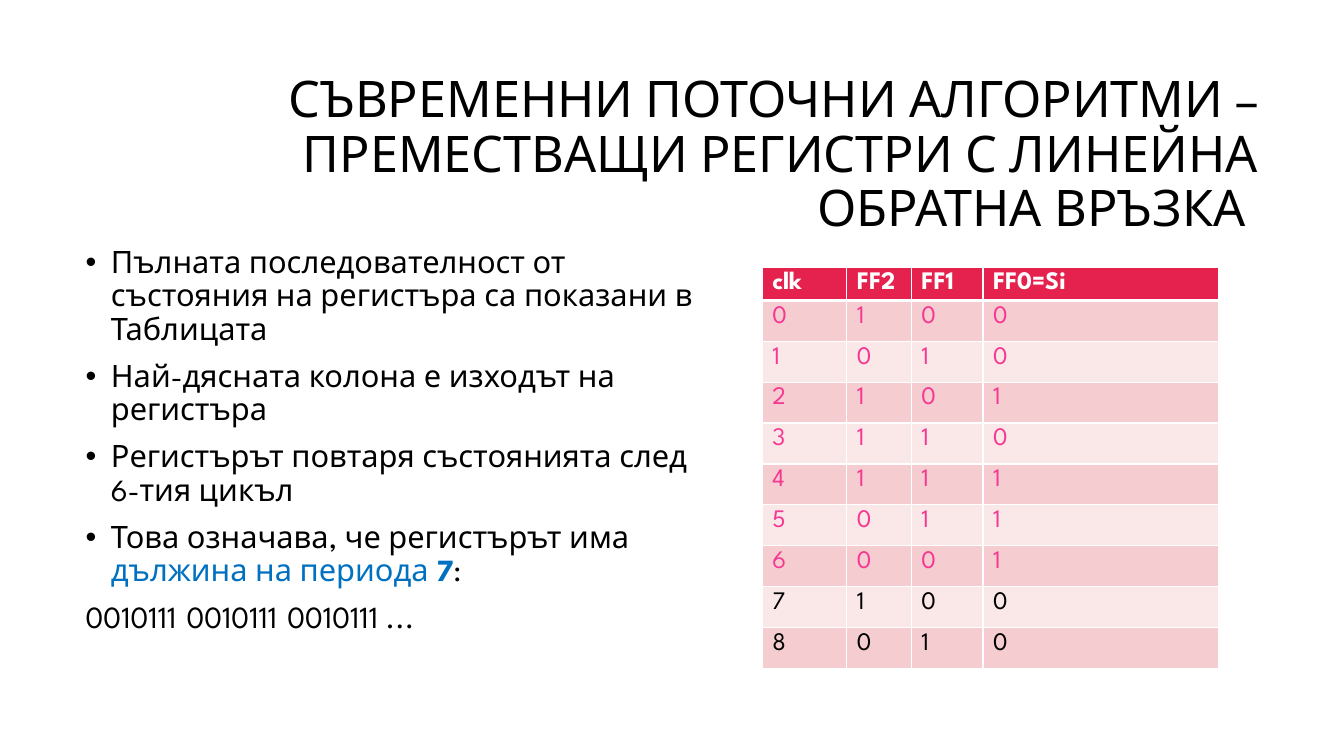
from lxml.etree import SubElement
from pptx import Presentation
from pptx.dml.color import RGBColor
from pptx.enum.text import MSO_ANCHOR, MSO_AUTO_SIZE, PP_ALIGN
from pptx.oxml.ns import qn
from pptx.util import Inches, Pt

BLACK, WHITE, BLUE, PINK = "000000", "FFFFFF", "0070C0", "F63892"
HEADER_FILL, DARK_ROW, LIGHT_ROW = "E5224E", "F5CDD0", "FAE8E9"


def add_run(paragraph, text, size, color=BLACK, bold=False):
    run = paragraph.add_run()
    run.text = text
    run.font.name = "League Spartan"
    run.font.size = Pt(size)
    run.font.bold = bold
    run.font.color.rgb = RGBColor.from_string(color)


def add_border(cell, side, width):
    line = SubElement(cell._tc.get_or_add_tcPr(), qn(f"a:ln{side}"), w=str(Pt(width)))
    SubElement(SubElement(line, qn("a:solidFill")), qn("a:srgbClr"), val=WHITE)


presentation = Presentation()
presentation.slide_width = Inches(13.33)
presentation.slide_height = Inches(7.5)
slide = presentation.slides.add_slide(presentation.slide_layouts[1])

title = slide.shapes.title
title.left, title.top, title.width, title.height = map(Inches, (2.75, 0.84, 9.83, 1.41))
title.text_frame.auto_size = MSO_AUTO_SIZE.NONE
title.text_frame.vertical_anchor = MSO_ANCHOR.MIDDLE
heading = title.text_frame.paragraphs[0]
heading.alignment = PP_ALIGN.RIGHT
heading.line_spacing = 0.9
add_run(heading, "СЪВРЕМЕННИ ПОТОЧНИ АЛГОРИТМИ – ПРЕМЕСТВАЩИ РЕГИСТРИ С ЛИНЕЙНА ОБРАТНА ВРЪЗКА ", 36)

points = [
    [("Пълната последователност от състояния на регистъра са показани в Таблицата", BLACK, False)],
    [("Най-дясната колона е изходът на регистъра", BLACK, False)],
    [("Регистърът повтаря състоянията след 6-тия цикъл", BLACK, False)],
    [
        ("Това означава, че регистърът има ", BLACK, False),
        ("дължина на периода ", BLUE, False),
        ("7", BLUE, True),
        (":", BLACK, False),
    ],
    [("0010111\t0010111\t0010111 ...", BLACK, False)],
]
body = slide.placeholders[1]
body.left, body.top, body.width, body.height = map(Inches, (0.75, 2.4, 6.42, 4.4))
body.text_frame.auto_size = MSO_AUTO_SIZE.NONE
for index, runs in enumerate(points):
    point = body.text_frame.add_paragraph() if index else body.text_frame.paragraphs[0]
    point.line_spacing = 0.9
    point.space_before = Pt(10 if index else 0)
    properties = point._p.get_or_add_pPr()
    if index < len(points) - 1:
        properties.set("marL", str(Inches(0.25)))
        properties.set("indent", str(Inches(-0.25)))
        SubElement(properties, qn("a:buFont"), typeface="Arial")
        SubElement(properties, qn("a:buChar"), char="•")
    else:
        properties.set("marL", "0")
        properties.set("indent", "0")
        SubElement(properties, qn("a:buNone"))
        tabs = SubElement(properties, qn("a:tabLst"))
        for position in (1.2, 2.4):
            SubElement(tabs, qn("a:tab"), pos=str(Inches(position)), algn="l")
    for text, color, bold in runs:
        add_run(point, text, 22, color, bold)

states = ["100", "010", "101", "110", "111", "011", "001", "100", "010"]
period = 7
rows = [["clk", "FF2", "FF1", "FF0=Si"]]
rows += [[str(clock), *state] for clock, state in enumerate(states)]
column_widths = [0.84, 0.64, 0.71, 2.34]
header_height, states_height = 0.33, 3.65

state_table = slide.shapes.add_table(
    len(rows), len(column_widths), Inches(7.56), Inches(2.65),
    Inches(sum(column_widths)), Inches(header_height + states_height),
).table
for column, width in zip(state_table.columns, column_widths):
    column.width = Inches(width)

for row_index, values in enumerate(rows):
    is_header = row_index == 0
    state_table.rows[row_index].height = Inches(
        header_height if is_header else states_height / len(states)
    )
    if is_header:
        fill, color = HEADER_FILL, WHITE
    else:
        fill = DARK_ROW if row_index % 2 else LIGHT_ROW
        color = PINK if row_index <= period else BLACK
    for column_index, value in enumerate(values):
        cell = state_table.cell(row_index, column_index)
        add_border(cell, "L", 1)
        add_border(cell, "R", 1)
        add_border(cell, "T", 3 if row_index == 1 else 1)
        add_border(cell, "B", 3 if is_header else 1)
        cell.fill.solid()
        cell.fill.fore_color.rgb = RGBColor.from_string(fill)
        add_run(cell.text_frame.paragraphs[0], value, 18, color, is_header)

presentation.save("out.pptx")
